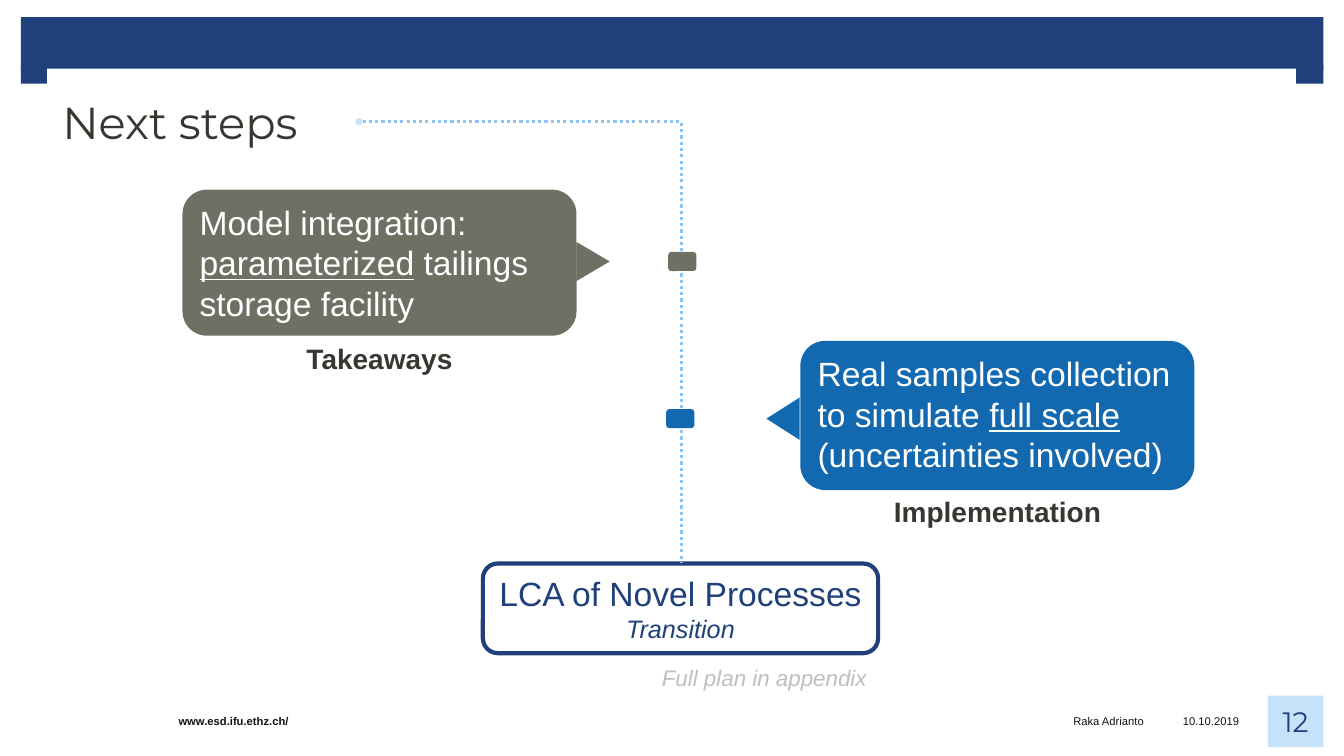
"""Builds the "Next steps" slide with two callouts on a dotted path."""
from lxml import etree
from pptx import Presentation
from pptx import util as u
from pptx.dml.color import RGBColor
from pptx.enum import dml, shapes, text
from pptx.oxml.ns import qn

COLORS = {
    "navy": "1F407A", "blue": "1269B0", "grey": "6F6F64", "sky": "C6E2F9",
    "path": "8CC5F3", "white": "FFFFFF", "ink": "373732", "black": "121210",
    "faint": "BFBFBF",
}
BAND = (0.53, 0.43, 32.82, 1.32)
CORNER = (0.69, 0.46)
CORNER_TOP = 1.65
PATH_START, PATH_END = (9.14, 3.07), (17.17, 14.2)
DOT = 0.18
MARKER = (0.71, 0.48)
FOOTER_TOP, FOOTER_HEIGHT = 17.53, 1.3
NO_INSET = (0, 0, 0, 0)

TITLE = {"box": (1.19, 1.73, 31.47, 2.69), "runs": ["Next steps"], "size": 32,
         "color": "ink", "font": "Montserrat", "insets": (0.38, 0, 0.41, 0)}
FOOTERS = [
    {"left": 4.5, "width": 12.42, "runs": ["www.esd.ifu.ethz.ch/"], "bold": True},
    {"left": 29.39, "width": 2.26, "runs": ["10.10.2019"], "align": "CENTER"},
    {"left": 16.94, "width": 11.89, "runs": ["Raka Adrianto"], "align": "RIGHT"},
    {"left": 31.95, "width": 1.4, "runs": ["12"], "align": "CENTER", "size": 20,
     "color": "navy", "font": "Montserrat", "fill": "sky"},
]
GOAL = {"box": (12.17, 14.2, 9.96, 2.26), "runs": ["LCA of Novel Processes\vTransition"]}
CALLOUTS = [
    {"box": (4.6, 4.78, 9.93, 3.68), "fill": "grey", "marker": (16.84, 6.35),
     "pointer": (14.45, 6.17, 0.99, 0.84), "rotation": 90,
     "paragraphs": [["Model integration:"],
                    ["", "parameterized", " tailings storage facility"]]},
    {"box": (20.17, 8.59, 9.93, 3.76), "fill": "blue", "marker": (16.79, 10.31),
     "pointer": (19.2, 10.13, 1.07, 0.84), "rotation": 270,
     "paragraphs": [["Real samples collection to simulate ", "full scale",
                     " (uncertainties involved)"]]},
]
CAPTIONS = [
    {"box": (16.43, 16.61, 5.72, 0.94), "runs": ["Full plan in appendix"],
     "size": 16, "color": "faint", "italic": True},
    {"box": (7.42, 8.48, 4.29, 1.12), "runs": ["Takeaways"],
     "size": 20, "color": "ink", "bold": True, "align": "CENTER"},
    {"box": (21.98, 12.34, 6.32, 1.12), "runs": ["Implementation"],
     "size": 20, "color": "ink", "bold": True, "align": "CENTER"},
]


def rgb(name):
    return RGBColor.from_string(COLORS[name])


def add_block(slide, kind, box, fill):
    shape = slide.shapes.add_shape(getattr(shapes.MSO_SHAPE, kind), *map(u.Cm, box))
    shape.shadow.inherit = False
    shape.fill.solid()
    shape.fill.fore_color.rgb = rgb(fill)
    shape.line.fill.background()
    return shape


def write(shape, paragraphs, size, color, font="Arial", align="LEFT", anchor="TOP",
          bold=False, italic=False, insets=(0.25, 0.13, 0.25, 0.13)):
    frame = shape.text_frame
    frame.word_wrap = True
    frame.vertical_anchor = getattr(text.MSO_ANCHOR, anchor)
    (frame.margin_left, frame.margin_top,
     frame.margin_right, frame.margin_bottom) = map(u.Cm, insets)
    for index, pieces in enumerate(paragraphs):
        paragraph = frame.add_paragraph() if index else frame.paragraphs[0]
        paragraph.alignment = getattr(text.PP_ALIGN, align)
        if len(pieces) == 1:
            paragraph.text = pieces[0]
        else:
            for position, piece in enumerate(pieces):
                if piece:
                    run = paragraph.add_run()
                    run.text = piece
                    run.font.underline = position == 1
        for run in paragraph.runs:
            run.font.name = font
            run.font.size = u.Pt(size)
            run.font.bold = bold
            run.font.italic = italic
            run.font.color.rgb = rgb(color)


def add_label(slide, box, runs, fill=None, **style):
    if fill:
        shape = add_block(slide, "RECTANGLE", box, fill)
    else:
        shape = slide.shapes.add_textbox(*map(u.Cm, box))
    write(shape, [runs], **style)


def add_frame(slide):
    left, _, width, _ = BAND
    add_block(slide, "RECTANGLE", BAND, "navy")
    for corner_left in (left, left + width - CORNER[0]):
        add_block(slide, "RECTANGLE", (corner_left, CORNER_TOP, *CORNER), "navy")
    add_label(slide, fill="white", anchor="MIDDLE", **TITLE)
    for footer in FOOTERS:
        style = {"size": 8, "color": "black", "insets": NO_INSET,
                 "anchor": "MIDDLE", **footer}
        box = (style.pop("left"), FOOTER_TOP, style.pop("width"), FOOTER_HEIGHT)
        add_label(slide, box, **style)


def add_goal(slide):
    goal = add_block(slide, "FLOWCHART_ALTERNATE_PROCESS", GOAL["box"], "white")
    goal.line.color.rgb = rgb("navy")
    goal.line.width = u.Pt(3)
    write(goal, [GOAL["runs"]], 24, "navy", align="CENTER")
    subtitle = goal.text_frame.paragraphs[0].runs[1]
    subtitle.font.size = u.Pt(18)
    subtitle.font.italic = True


def add_path(slide):
    connector = slide.shapes.add_connector(
        shapes.MSO_CONNECTOR.ELBOW, *map(u.Cm, PATH_START + PATH_END))
    connector.line.color.rgb = rgb("path")
    connector.line.width = u.Pt(2.25)
    connector.line.dash_style = dml.MSO_LINE.ROUND_DOT
    properties = connector._element.spPr
    properties.find(qn("a:prstGeom")).set("prst", "bentConnector2")
    etree.SubElement(properties, qn("a:effectLst"))
    x, y = PATH_START
    add_block(slide, "OVAL", (x - DOT, y - DOT / 2, DOT, DOT), "sky")


def add_callout(slide, callout):
    fill = callout["fill"]
    add_block(slide, "ROUNDED_RECTANGLE", (*callout["marker"], *MARKER), fill)
    bubble = add_block(slide, "FLOWCHART_ALTERNATE_PROCESS", callout["box"], fill)
    write(bubble, callout["paragraphs"], 24, "white")
    pointer = add_block(slide, "ISOSCELES_TRIANGLE", callout["pointer"], fill)
    pointer.rotation = callout["rotation"]


def main():
    presentation = Presentation()
    presentation.slide_width, presentation.slide_height = u.Cm(33.87), u.Cm(19.05)
    slide = presentation.slides.add_slide(presentation.slide_layouts[6])
    add_frame(slide)
    add_goal(slide)
    add_path(slide)
    for callout in CALLOUTS:
        add_callout(slide, callout)
    for caption in CAPTIONS:
        add_label(slide, **caption)
    presentation.save("out.pptx")


if __name__ == "__main__":
    main()
